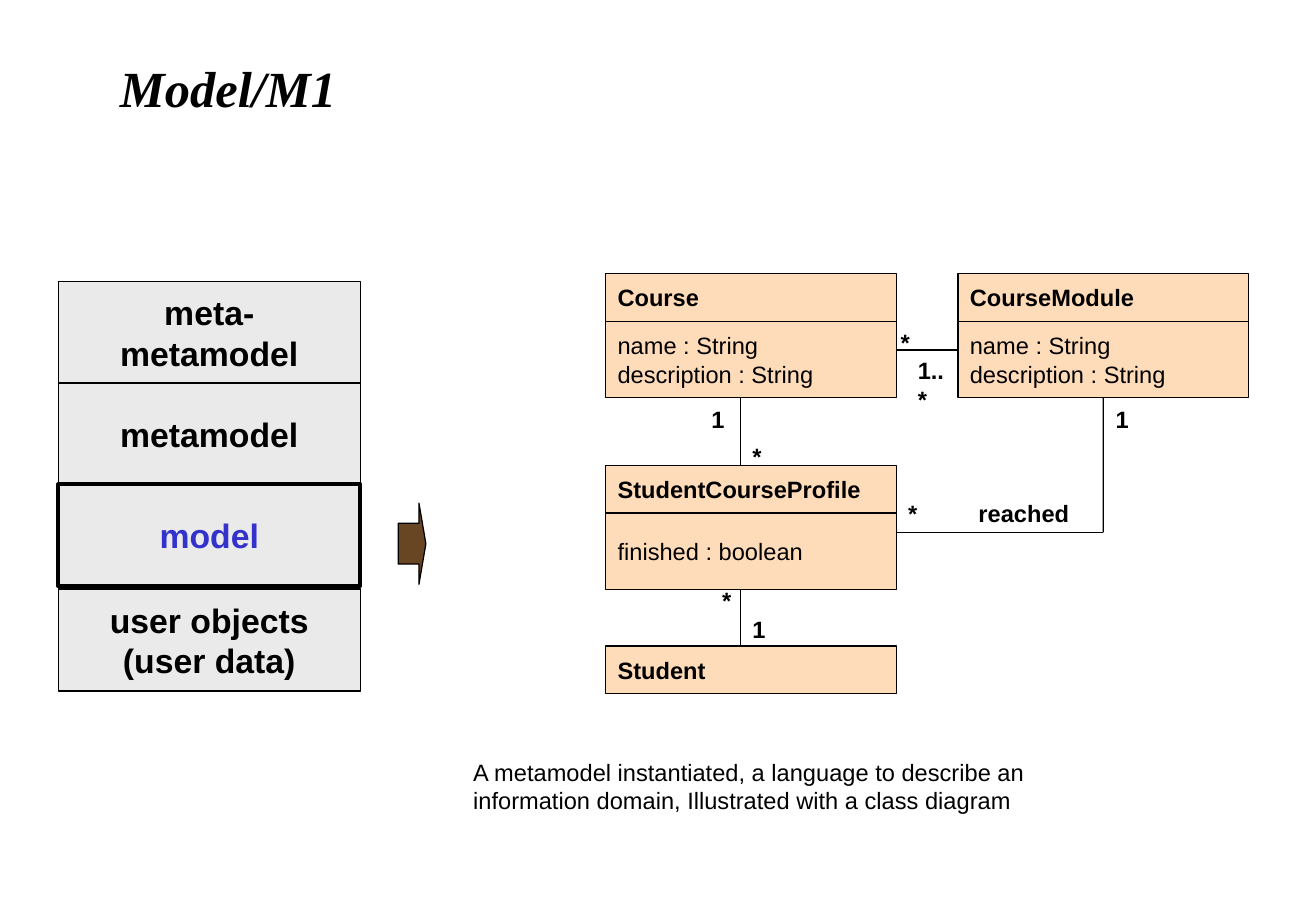
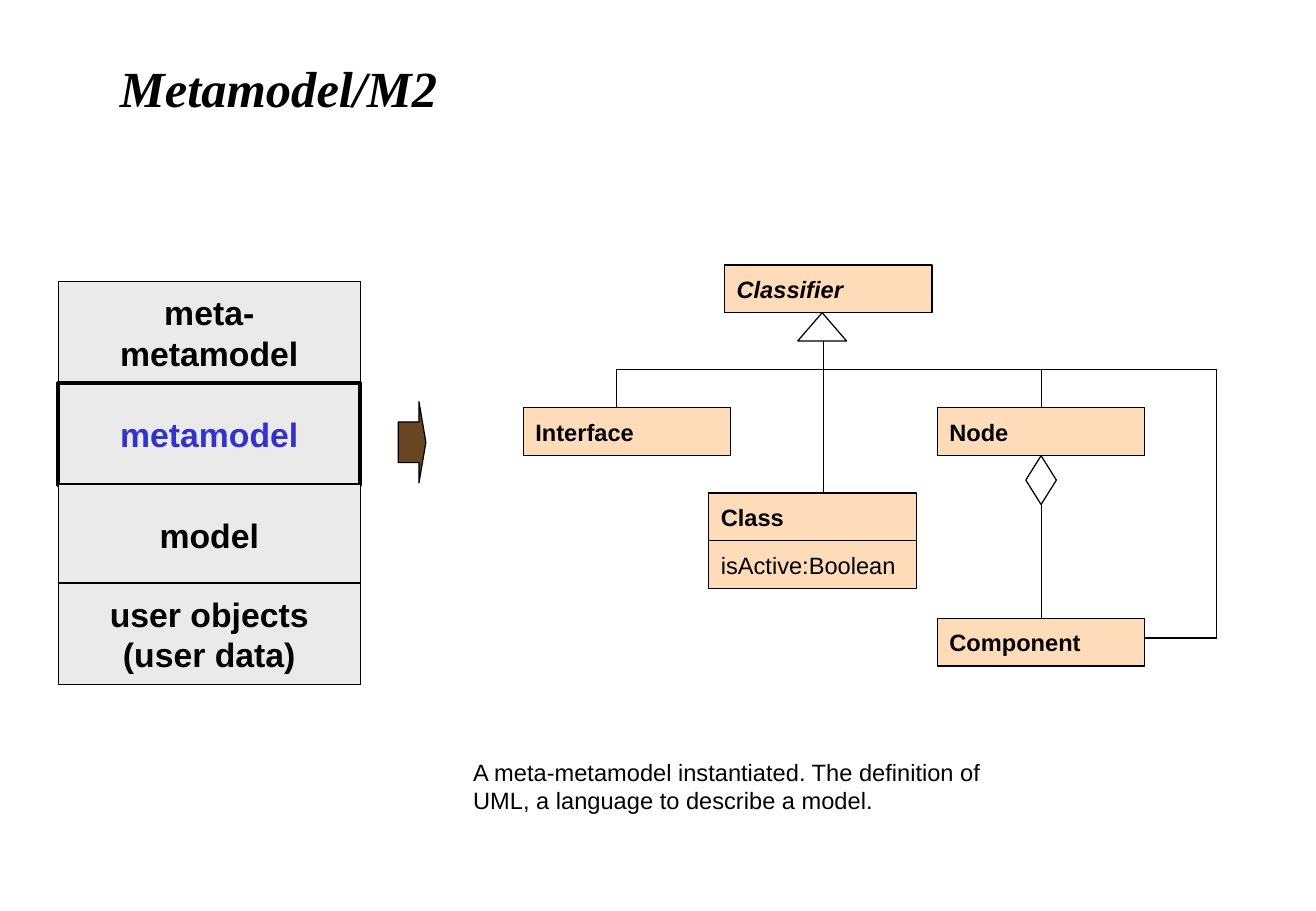
"""Build two slides that place class diagrams in the metamodel layers."""
import dataclasses

import pptx
import pptx.dml.color
import pptx.enum.shapes
import pptx.enum.text
import pptx.oxml.xmlchemy
import pptx.util

Cm = pptx.util.Cm
Pt = pptx.util.Pt
Kind = pptx.enum.shapes.MSO_SHAPE
Align = pptx.enum.text.PP_ALIGN
Anchor = pptx.enum.text.MSO_ANCHOR
Fit = pptx.enum.text.MSO_AUTO_SIZE


@dataclasses.dataclass(frozen=True)
class Theme:
    """Hold the colours, fonts and line widths of both slides."""
    ink: str = "000000"
    paper: str = "FFFFFF"
    layer: str = "EAEAEA"
    accent: str = "3333CC"
    arrow: str = "694623"
    node: str = "FFDCB9"
    thin: float = 0.75
    thick: float = 2.25
    title: tuple = (("name", "Times New Roman"), ("size", Pt(30)), ("bold", True), ("italic", True))
    stack: tuple = (("name", "Arial"), ("size", Pt(20)), ("bold", True))
    body: tuple = (("name", "Arial"), ("size", Pt(14)))
    strong: tuple = body + (("bold", True),)
    slant: tuple = strong + (("italic", True),)


THEME = Theme()
LAYERS = ("meta-\nmetamodel", "metamodel", "model", "user objects\n(user data)")
HEAD = 1.0


def paint(hue):
    """Turn a hex string into a colour."""
    return pptx.dml.color.RGBColor.from_string(hue)


def write(frame, text, style, hue=THEME.ink, align=Align.LEFT, **form):
    """Fill a text frame with paragraphs of one style."""
    form = {"margin_left": Cm(0.25), "margin_right": Cm(0.25),
            "margin_top": Cm(0.13), "margin_bottom": Cm(0.13), **form}
    for key, value in form.items():
        setattr(frame, key, value)
    frame.text = text
    for para in frame.paragraphs:
        para.alignment = align
        for key, value in dict(style).items():
            setattr(para.font, key, value)
        para.font.color.rgb = paint(hue)


def label(slide, text, x, y, w, h=0.86, style=THEME.strong):
    """Add a text box that fits its lines."""
    box = slide.shapes.add_textbox(Cm(x), Cm(y), Cm(w), Cm(h))
    write(box.text_frame, text, style, word_wrap=False, auto_size=Fit.SHAPE_TO_FIT_TEXT)


def draw(slide, kind, x, y, w, h, fill, width=THEME.thin):
    """Add a flat filled shape with a dark outline."""
    shape = slide.shapes.add_shape(kind, Cm(x), Cm(y), Cm(w), Cm(h))
    shape.shadow.inherit = False
    shape.fill.solid()
    shape.fill.fore_color.rgb = paint(fill)
    shape.line.color.rgb = paint(THEME.ink)
    shape.line.width = Pt(width)
    return shape


def wire(slide, start, end, tail=None, head=None):
    """Draw a straight line, joined to a (shape, site) pair where given."""
    kind = pptx.enum.shapes.MSO_CONNECTOR.STRAIGHT
    line = slide.shapes.add_connector(kind, *map(Cm, start + end))
    line.line.color.rgb = paint(THEME.ink)
    line.line.width = Pt(THEME.thin)
    line._element.spPr.append(pptx.oxml.xmlchemy.OxmlElement("a:effectLst"))
    if tail:
        line.begin_connect(*tail)
    if head:
        line.end_connect(*head)


def entity(slide, name, x, y, w, fields="", depth=1.6, style=THEME.strong):
    """Draw a class box and return its rectangles, top first."""
    rows = [(name, y, HEAD, style)]
    if fields:
        rows.append((fields, y + HEAD, depth, THEME.body))
    parts = []
    for text, top, h, look in rows:
        part = draw(slide, Kind.RECTANGLE, x, top, w, h, THEME.node)
        write(part.text_frame, text, look, word_wrap=True, vertical_anchor=Anchor.MIDDLE)
        parts.append(part)
    return parts


def tower(slide, active, base):
    """Draw the four layers and the arrow beside the active one."""
    x, y, w, h = 1.22, 5.89, 6.32, 2.13
    for rank, text in enumerate(LAYERS):
        top = base if rank == len(LAYERS) - 1 else y + rank * 2.12
        chosen = rank == active
        part = draw(slide, Kind.RECTANGLE, x, top, w, h, THEME.layer,
                    THEME.thick if chosen else THEME.thin)
        write(part.text_frame, text, THEME.stack, THEME.accent if chosen else THEME.ink,
              Align.CENTER, word_wrap=True, vertical_anchor=Anchor.MIDDLE)
        if chosen:
            arrow = draw(slide, Kind.RIGHT_ARROW, 8.33, top + 0.39, 0.58, 1.7, THEME.arrow)
            arrow.adjustments[0], arrow.adjustments[1] = 0.5, 0.25


def page(deck, title, active, base, note, width):
    """Add a slide with its title, layers and caption."""
    slide = deck.slides.add_slide(deck.slide_layouts[6])
    slide.background.fill.solid()
    slide.background.fill.fore_color.rgb = paint(THEME.paper)
    box = slide.shapes.add_textbox(Cm(2.26), Cm(0.79), Cm(24.1), Cm(2.06))
    write(box.text_frame, title, THEME.title, word_wrap=True, vertical_anchor=Anchor.MIDDLE)
    tower(slide, active, base)
    label(slide, note, 9.65, 15.72, width, 1.45, THEME.body)
    return slide


def model(deck):
    """Build the slide of the course model."""
    slide = page(deck, "Model/M1", 2, 12.32,
                 "A metamodel instantiated, a language to describe an\n"
                 "information domain, Illustrated with a class diagram", 12.07)
    left, right, top, w = 12.67, 20.04, 5.72, 6.08
    fields = "name : String\ndescription : String"
    entity(slide, "Course", left, top, w, fields)
    entity(slide, "StudentCourseProfile", left, 9.73, w, "finished : boolean")
    entity(slide, "Student", left, 13.51, w)
    module = entity(slide, "CourseModule", right, top, w, fields)
    edge, stem, turn, low = left + w, 15.49, right + w / 2, 11.13
    wire(slide, (edge, 7.32), (right, 7.32))
    wire(slide, (stem, 8.32), (stem, 9.73))
    wire(slide, (stem, 12.33), (stem, 13.51))
    wire(slide, (edge, low), (turn, low))
    wire(slide, (turn, low), (turn, 8.32), head=(module[-1], 2))
    for text, x, y, wide in (
            ("reached", 20.22, 10.31, 2.41), ("1", 23.09, 8.33, 0.79),
            ("1", 14.63, 8.33, 0.79), ("1", stem, 12.73, 0.79),
            ("1..*", 18.95, 7.32, 1.24), ("*", 18.59, 6.73, 0.69),
            ("*", stem, 9.12, 0.69), ("*", 14.86, 12.12, 0.69),
            ("*", edge, 10.31, 0.69)):
        label(slide, text, x, y, wide)


def meta(deck):
    """Build the slide of the language metamodel."""
    slide = page(deck, "Metamodel/M2", 1, 12.19,
                 "A meta-metamodel instantiated. The definition of\n"
                 "UML, a language to describe a model.", 11.3)
    w, col, row = 4.34, 19.61, 8.53
    entity(slide, "Classifier", 15.16, 5.54, w, style=THEME.slant)
    entity(slide, "Interface", 10.95, row, w)
    entity(slide, "Class", 14.83, 10.31, w, "isActive:Boolean", HEAD)
    node, = entity(slide, "Node", col, row, w)
    part, = entity(slide, "Component", col, 12.93, w)
    draw(slide, Kind.ISOSCELES_TRIANGLE, 16.69, 6.54, 1.02, 0.59, THEME.paper)
    gem = draw(slide, Kind.DIAMOND, 21.46, row + HEAD, 0.64, 1.02, THEME.paper)
    bus, start, stem, end, low = 7.72, 12.9, 17.22, 25.45, 13.34
    mid = col + w / 2
    wire(slide, (start, bus), (end, bus))
    wire(slide, (start, bus), (start, row))
    wire(slide, (mid, bus), (mid, row), head=(node, 0))
    wire(slide, (stem, 7.13), (stem, 10.31))
    wire(slide, (end, bus), (end, low))
    wire(slide, (col + w, low), (end, low))
    wire(slide, (mid, 10.55), (mid, 12.93), (gem, 2), (part, 0))


def main():
    """Build and save the deck."""
    deck = pptx.Presentation()
    deck.slide_width, deck.slide_height = Cm(27.53), Cm(19.05)
    model(deck)
    meta(deck)
    deck.save("out.pptx")


if __name__ == "__main__":
    main()
